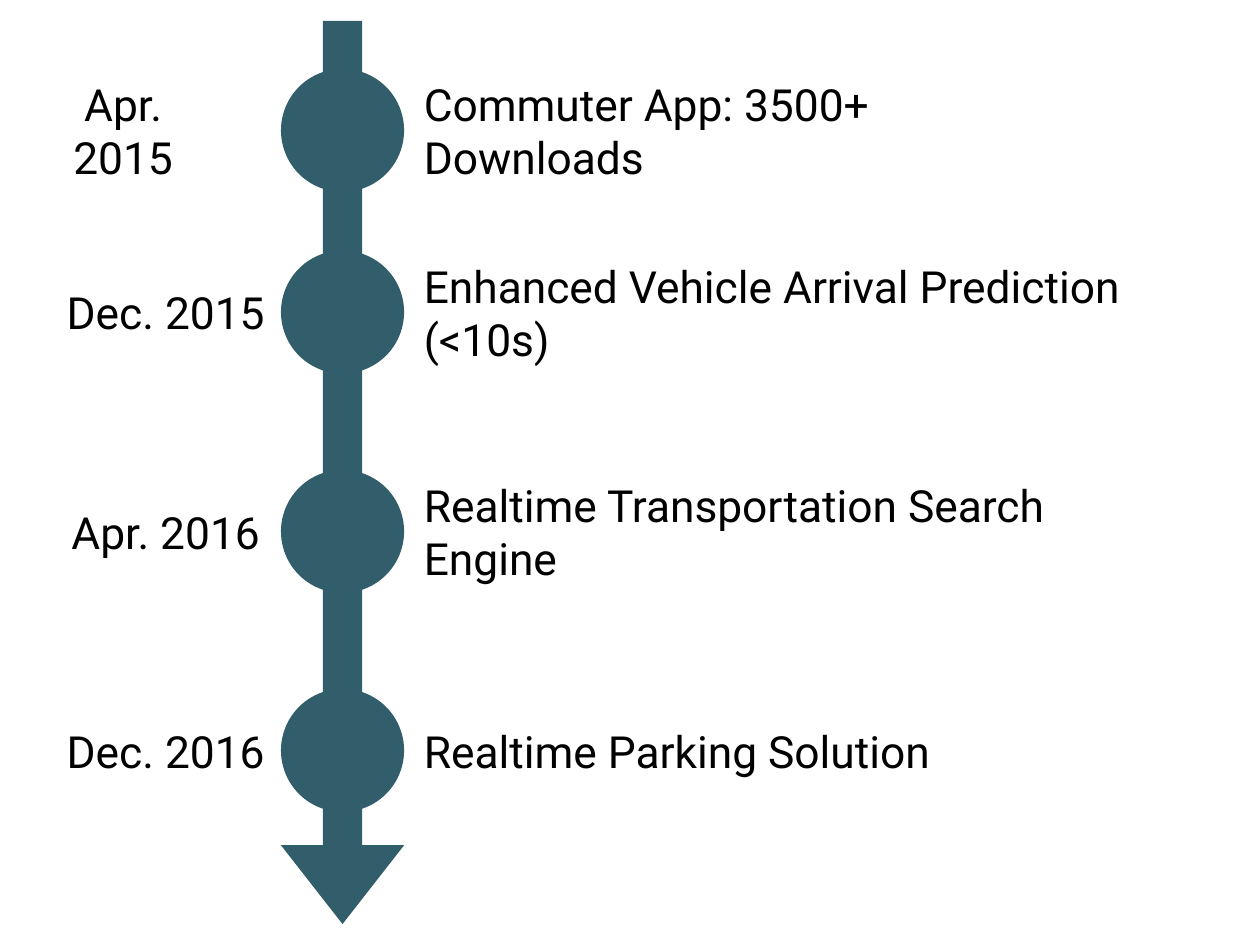
"""Builds a vertical timeline slide with four dated milestones."""
from pptx import Presentation
from pptx.dml.color import RGBColor
from pptx.enum import shapes, text
from pptx.util import Cm, Pt

TEAL = RGBColor(0x32, 0x5D, 0x6B)
BLACK = RGBColor(0, 0, 0)
SHAPE = shapes.MSO_SHAPE
ALIGN = text.PP_ALIGN

AXIS = 9.82
DOT = 3.53
ROWS = [
    (3.74, "Apr. 2015", 3.76, "Commuter App: 3500+ Downloads", 16.5),
    (8.95, "Dec. 2015", 6.2, "Enhanced Vehicle Arrival Prediction (<10s)", 22),
    (15.24, "Apr. 2016", 6.2, "Realtime Transportation Search Engine", 20),
    (21.52, "Dec. 2016", 6.2, "Realtime Parking Solution", 22),
]


def write(frame, words, font="Roboto", size=36, color=BLACK, align=ALIGN.LEFT):
    para = frame.paragraphs[0]
    para.alignment = align
    run = para.add_run()
    run.text = words
    run.font.name = font
    run.font.size = Pt(size)
    run.font.color.rgb = color


class Timeline:
    def __init__(self, slide, fill=TEAL, inset=0.15):
        self.slide = slide
        self.fill = fill
        self.inset = Cm(inset)

    def shape(self, kind, top, height):
        item = self.slide.shapes.add_shape(
            kind, Cm(AXIS - DOT / 2), Cm(top), Cm(DOT), Cm(height))
        item.shadow.inherit = False
        item.fill.solid()
        item.fill.fore_color.rgb = self.fill
        item.line.fill.background()
        return item

    def arrow(self, top, height):
        item = self.shape(SHAPE.DOWN_ARROW, top, height)
        item.adjustments[0] = 0.32
        item.adjustments[1] = 0.64

    def dot(self, mid):
        self.shape(SHAPE.OVAL, mid - DOT / 2, DOT)

    def label(self, words, left, mid, width, **style):
        box = self.slide.shapes.add_textbox(
            Cm(left), Cm(mid - DOT / 2), Cm(width), Cm(DOT))
        frame = box.text_frame
        frame.word_wrap = True
        frame.vertical_anchor = text.MSO_ANCHOR.MIDDLE
        frame.margin_left = frame.margin_right = self.inset
        frame.margin_top = frame.margin_bottom = self.inset
        write(frame, words, **style)


def main():
    deck = Presentation()
    deck.slide_width = Cm(36.12)
    deck.slide_height = Cm(27.1)
    line = Timeline(deck.slides.add_slide(deck.slide_layouts[6]))
    line.arrow(0.6, 25.9)
    for mid, date, span, event, width in ROWS:
        line.dot(mid)
        line.label(date, 1.65, mid, span, align=ALIGN.CENTER)
        line.label(event, 12, mid, width)
    deck.save("out.pptx")


if __name__ == "__main__":
    main()
